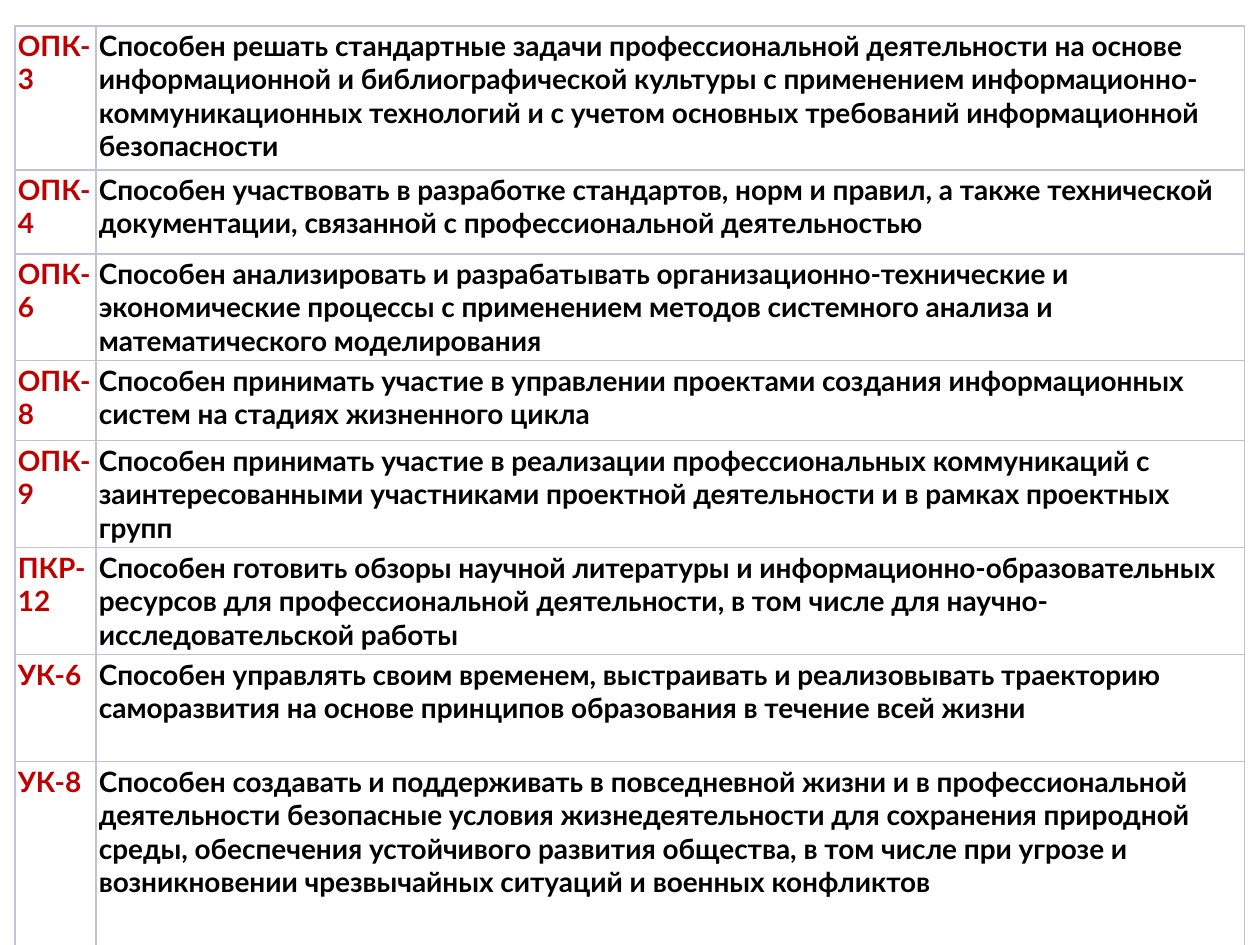
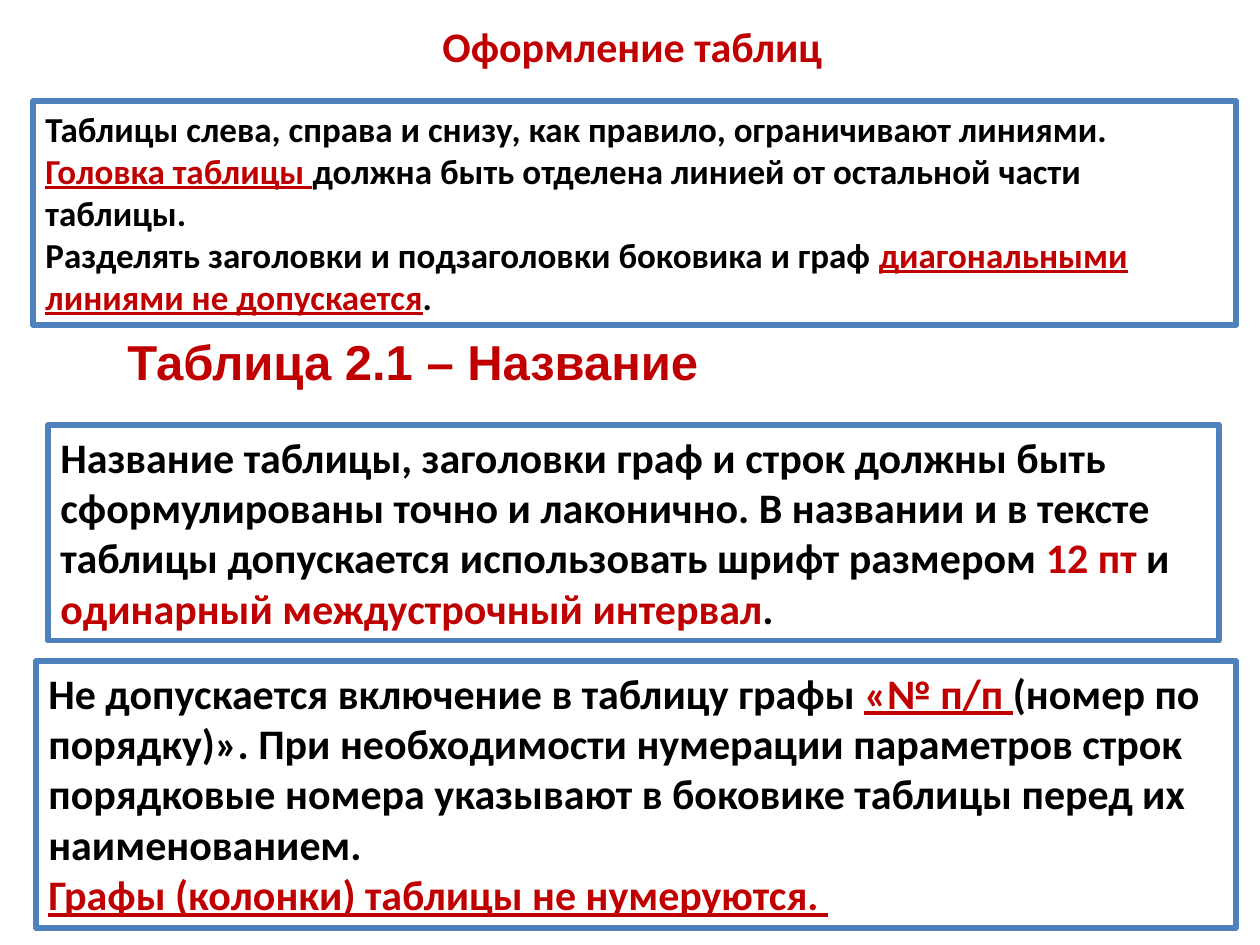
from dataclasses import dataclass

from lxml.etree import SubElement
from pptx import Presentation
from pptx.dml.color import RGBColor
from pptx.enum.shapes import MSO_SHAPE
from pptx.enum.text import MSO_ANCHOR
from pptx.oxml.ns import qn
from pptx.util import Emu, Pt


@dataclass(frozen=True)
class Theme:
    red: str = "C00000"
    black: str = "000000"
    white: str = "FFFFFF"
    blue: str = "4F81BD"
    grid: str = "C2C1DB"
    body: str = "Calibri"
    cell: str = "Lato"
    label: str = "Arial"
    tiny: int = 16
    small: int = 20
    large: int = 24
    huge: int = 28
    frame: int = 3
    hair: float = 0.75


THEME = Theme()
BLANK = 6

# Competences: code, text, row height
SKILLS = [
    ("ОПК-3", "Способен решать стандартные задачи профессиональной деятельности на основе "
     "информационной и библиографической культуры с применением "
     "информационно-коммуникационных технологий и с учетом основных требований "
     "информационной безопасности", 144),
    ("ОПК-4", "Способен участвовать в разработке стандартов, норм и правил, а также "
     "технической документации, связанной с профессиональной деятельностью", 84),
    ("ОПК-6", "Способен анализировать и разрабатывать организационно-технические и "
     "экономические процессы с применением методов системного анализа и "
     "математического моделирования", 107),
    ("ОПК-8", "Способен принимать участие в управлении проектами создания "
     "информационных систем на стадиях жизненного цикла", 80),
    ("ОПК-9", "Способен принимать участие в реализации профессиональных коммуникаций с "
     "заинтересованными участниками проектной деятельности и в рамках проектных групп", 107),
    ("ПКР-12", "Способен готовить обзоры научной литературы и "
     "информационно-образовательных ресурсов для профессиональной деятельности, "
     "в том числе для научно-исследовательской работы", 107),
    ("УК-6", "Способен управлять своим временем, выстраивать и реализовывать траекторию "
     "саморазвития на основе принципов образования в течение всей жизни", 107),
    ("УК-8", "Способен создавать и поддерживать в повседневной жизни и в профессиональной "
     "деятельности безопасные условия жизнедеятельности для сохранения природной среды, "
     "обеспечения устойчивого развития общества, в том числе при угрозе и возникновении "
     "чрезвычайных ситуаций и военных конфликтов", 205),
]


def px(count):
    return Emu(round(count * 914400 / 126))


def rgb(code):
    return RGBColor.from_string(code)


# Runs: plain, red, and red with a line below
def plain(text):
    return text, THEME.black, False


def red(text):
    return text, THEME.red, False


def lined(text):
    return text, THEME.red, True


def write(para, runs, face, size):
    para.font.name = face
    para.font.size = Pt(size)
    para.font.bold = True
    for text, color, under in runs:
        run = para.add_run()
        run.text = text
        run.font.color.rgb = rgb(color)
        if under:
            run.font.underline = True


def add_label(slide, box, text, face, size):
    frame = slide.shapes.add_textbox(*map(px, box)).text_frame
    write(frame.paragraphs[0], [red(text)], face, size)
    return frame


def add_panel(slide, box, size, paras):
    panel = slide.shapes.add_shape(MSO_SHAPE.RECTANGLE, *map(px, box))
    panel.shadow.inherit = False
    panel.fill.background()
    panel.line.color.rgb = rgb(THEME.blue)
    panel.line.width = Pt(THEME.frame)
    frame = panel.text_frame
    frame.word_wrap = True
    frame.vertical_anchor = MSO_ANCHOR.TOP
    for index, runs in enumerate(paras):
        para = frame.add_paragraph() if index else frame.paragraphs[0]
        para.alignment = 1
        write(para, runs, THEME.body, size)


def add_edges(cell):
    props = cell._tc.get_or_add_tcPr()
    for side in ("lnL", "lnR", "lnT", "lnB"):
        edge = SubElement(props, qn(f"a:{side}"), w=str(Pt(THEME.hair)))
        fill = SubElement(edge, qn("a:solidFill"))
        SubElement(fill, qn("a:srgbClr"), val=THEME.grid)


def fill_cell(cell, run):
    add_edges(cell)
    cell.fill.solid()
    cell.fill.fore_color.rgb = rgb(THEME.white)
    cell.margin_left = cell.margin_right = px(3)
    cell.margin_top = cell.margin_bottom = px(3)
    write(cell.text_frame.paragraphs[0], [run], THEME.cell, THEME.tiny)


def add_grid(slide, left, top, widths, rows):
    high = sum(row[-1] for row in rows)
    table = slide.shapes.add_table(len(rows), len(widths), px(left), px(top),
                                   px(sum(widths)), px(high)).table
    table.first_row = table.horz_banding = False
    for column, width in zip(table.columns, widths):
        column.width = px(width)
    for row, (code, text, height) in zip(table.rows, rows):
        row.height = px(height)
        for cell, run in zip(row.cells, (red(code), plain(text))):
            fill_cell(cell, run)


def skill_slide(slide):
    add_grid(slide, 15, 26, (81, 1149), SKILLS)


def rule_slide(slide):
    # Title
    title = add_label(slide, (367, 14, 472, 63), "Оформление таблиц",
                      THEME.body, THEME.large)
    title.word_wrap = False
    title.paragraphs[0].level = 1

    # Lines of a table
    add_panel(slide, (33, 101, 1203, 224), THEME.small, [
        [plain("Таблицы слева, справа и снизу, как правило, ограничивают линиями.")],
        [lined("Головка таблицы "),
         plain("должна быть отделена линией от остальной части таблицы.")],
        [plain("Разделять заголовки и подзаголовки боковика и граф "),
         lined("диагональными линиями не допускается"), plain(".")],
    ])

    # Sample caption
    sample = add_label(slide, (115, 323, 824, 131), "Таблица 2.1 – Название",
                       THEME.label, THEME.huge)
    sample.word_wrap = True
    sample.margin_top = px(9)

    # Names and headings
    add_panel(slide, (48, 425, 1171, 216), THEME.large, [
        [plain("Название таблицы, заголовки граф и строк должны быть сформулированы "
               "точно и лаконично. В названии и в тексте таблицы допускается "
               "использовать шрифт размером "),
         red("12 пт "), plain("и "), red("одинарный междустрочный интервал"), plain(".")],
    ])

    # Numbering
    add_panel(slide, (36, 661, 1200, 267), THEME.large, [
        [plain("Не допускается включение в таблицу графы "), lined("«№ п/п "),
         plain("(номер по порядку)». При необходимости нумерации параметров строк "
               "порядковые номера указывают в боковике таблицы перед их наименованием.")],
        [lined("Графы (колонки) таблицы не нумеруются. ")],
    ])


def main():
    deck = Presentation()
    deck.slide_width, deck.slide_height = px(1260), px(945)
    for build in (skill_slide, rule_slide):
        build(deck.slides.add_slide(deck.slide_layouts[BLANK]))
    deck.save("out.pptx")


if __name__ == "__main__":
    main()
